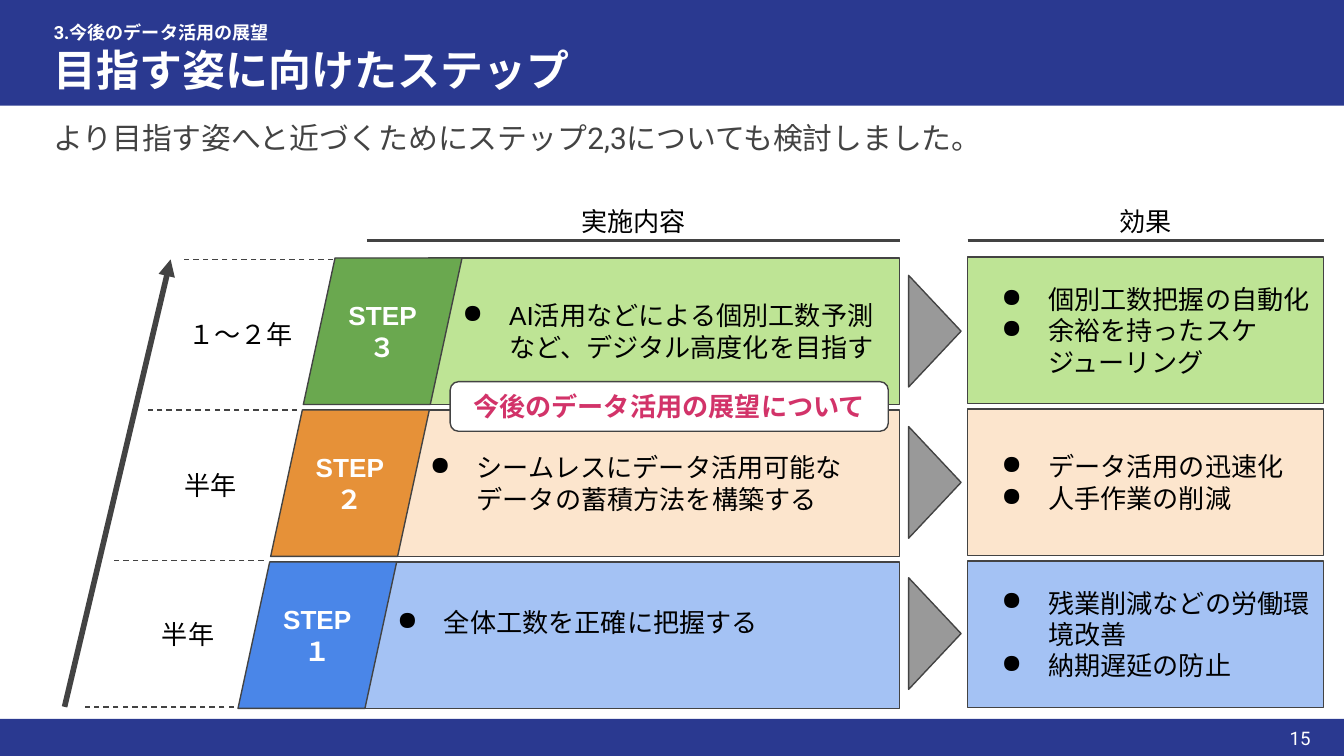
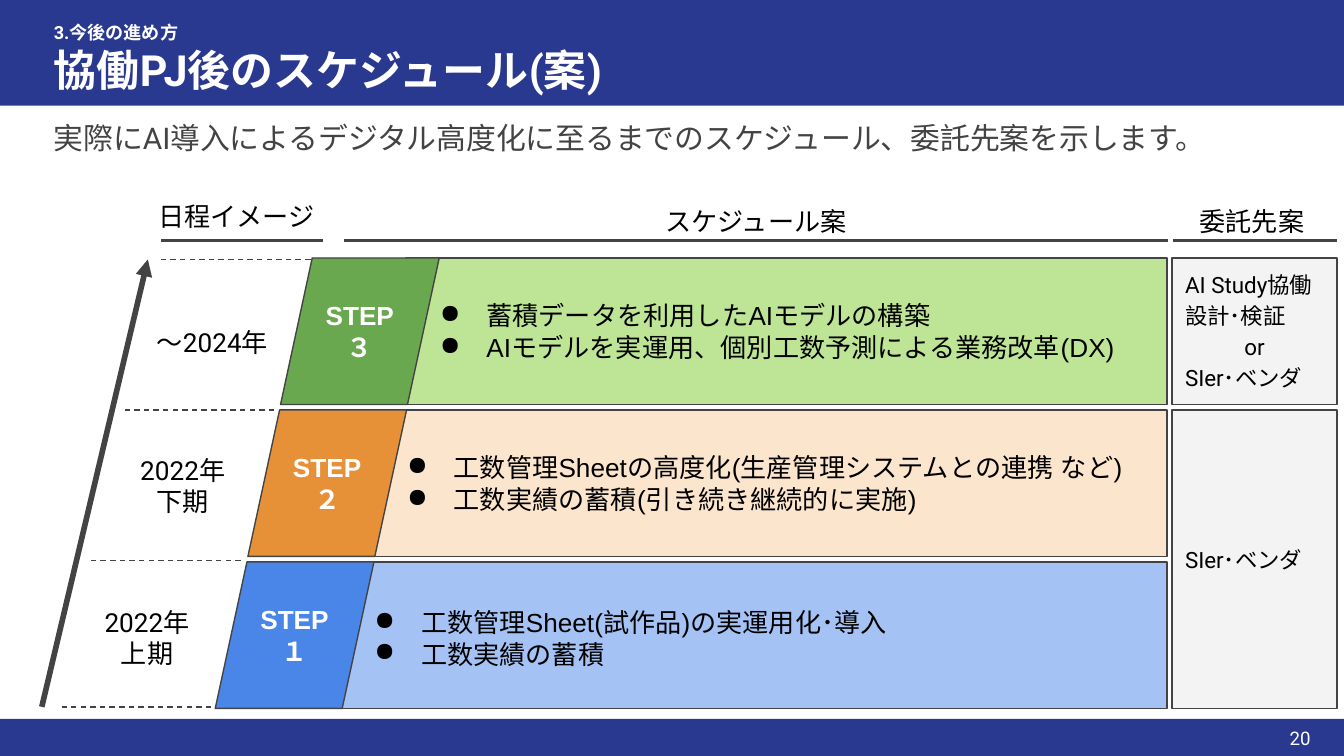
from lxml.etree import SubElement
from pptx import Presentation
from pptx.dml.color import RGBColor
from pptx.enum.dml import MSO_LINE
from pptx.enum.shapes import MSO_CONNECTOR, MSO_SHAPE
from pptx.enum.text import MSO_ANCHOR, MSO_AUTO_SIZE, PP_ALIGN
from pptx.oxml.ns import qn
from pptx.util import Pt

# Colours
NAVY = RGBColor(0x2A, 0x39, 0x90)
DARK = RGBColor(0x43, 0x43, 0x43)
GRAY = RGBColor(0x99, 0x99, 0x99)
PALE_GRAY = RGBColor(0xF3, 0xF3, 0xF3)
BLACK = RGBColor(0, 0, 0)
WHITE = RGBColor(0xFF, 0xFF, 0xFF)
PINK = RGBColor(0xD2, 0x33, 0x69)
GREEN = RGBColor(0x6A, 0xA8, 0x4F)
ORANGE = RGBColor(0xE6, 0x91, 0x38)
BLUE = RGBColor(0x4A, 0x86, 0xE8)
PALE_GREEN = RGBColor(0xBE, 0xE4, 0x95)
PALE_ORANGE = RGBColor(0xFC, 0xE5, 0xCD)
PALE_BLUE = RGBColor(0xA4, 0xC2, 0xF4)

# Steps from top to bottom: number, strong colour, pale colour
STEPS = [("３", GREEN, PALE_GREEN), ("２", ORANGE, PALE_ORANGE), ("１", BLUE, PALE_BLUE)]
ROW_TOP, ROW_PITCH, ROW_HEIGHT = 138.2, 81.4, 78.5
STEP_LEFT, STEP_SHIFT, STEP_WIDTH = 162.5, 17.5, 85
BAR_OFFSET = 67.2
DASHES = [(98.6, 139), (79.2, 219.6), (61.2, 300.2), (45.4, 378.7)]
DASH_LENGTH = 80
HEADER_LINE = 128.7
INSET = 7.2


def row_top(row):
    return ROW_TOP + row * ROW_PITCH


class Deck:
    """Holds the shared style and the current slide."""

    def __init__(self):
        self.presentation = Presentation()
        self.presentation.slide_width = Pt(720)
        self.presentation.slide_height = Pt(405)
        self.layout = self.presentation.slide_layouts[5]
        self.slide = None

    def start_slide(self, chapter, title, lead, number):
        first = self.slide is None
        self.slide = self.presentation.slides.add_slide(self.layout)
        if first:
            self.bands()
        heading = self.slide.shapes.title
        heading.left, heading.top = Pt(21.6), Pt(4.3)
        heading.width, heading.height = Pt(671), Pt(47.5)
        self.set_text(heading, [chapter, title], sizes=[9.7, 23], font="Roboto",
                      color=WHITE, bold=True)
        self.text([lead], 21.6, 56.7, 688.3, 33.8, size=16, color=DARK,
                  align=PP_ALIGN.LEFT)
        self.text([number], 666, 382.3, 43.2, 26.6, size=10, color=WHITE,
                  align=PP_ALIGN.RIGHT, anchor=MSO_ANCHOR.MIDDLE)

    def bands(self):
        """Place the top and bottom bands on the shared layout."""
        for top, height in ((0, 56.6), (385.1, 19.9)):
            band = self.shape(MSO_SHAPE.RECTANGLE, 0, top, 720, height, NAVY)
            band.line.fill.background()
            self.layout.shapes.element.append(band.element)

    def set_text(self, shape, lines, sizes=(14,), font="Arial", color=BLACK, bold=False,
                 align=PP_ALIGN.LEFT, anchor=MSO_ANCHOR.TOP, bullets=False,
                 spacings=(None,), top_inset=INSET):
        frame = shape.text_frame
        frame.word_wrap = True
        frame.auto_size = MSO_AUTO_SIZE.NONE
        frame.vertical_anchor = anchor
        frame.margin_left = frame.margin_right = frame.margin_bottom = Pt(INSET)
        frame.margin_top = Pt(top_inset)
        for index, line in enumerate(lines):
            paragraph = frame.add_paragraph() if index else frame.paragraphs[0]
            paragraph.text = line
            paragraph.alignment = align
            paragraph.space_before = Pt(0)
            paragraph.line_spacing = spacings[index % len(spacings)]
            properties = paragraph._p.get_or_add_pPr()
            if bullets:
                properties.set("marL", str(Pt(36)))
                properties.set("indent", str(Pt(-25)))
                bullet_color = SubElement(properties, qn("a:buClr"))
                SubElement(bullet_color, qn("a:srgbClr"), val=str(color))
                SubElement(properties, qn("a:buChar"), char="●")
            paragraph.font.size = Pt(sizes[index % len(sizes)])
            paragraph.font.bold = bold
            paragraph.font.color.rgb = color
            paragraph.font.name = font
            SubElement(properties.find(qn("a:defRPr")), qn("a:ea"), typeface=font)

    def text(self, lines, left, top, width, height, size=14, align=PP_ALIGN.CENTER,
             **style):
        box = self.slide.shapes.add_textbox(Pt(left), Pt(top), Pt(width), Pt(height))
        self.set_text(box, lines, sizes=[size], font="Roboto", align=align, **style)

    def shape(self, kind, left, top, width, height, fill):
        shape = self.slide.shapes.add_shape(kind, Pt(left), Pt(top), Pt(width), Pt(height))
        shape.shadow.inherit = False
        shape.fill.solid()
        shape.fill.fore_color.rgb = fill
        shape.line.color.rgb = DARK
        shape.line.width = Pt(0.75)
        return shape

    def box(self, lines, left, top, width, height, fill, kind=MSO_SHAPE.RECTANGLE,
            anchor=MSO_ANCHOR.MIDDLE, **style):
        shape = self.shape(kind, left, top, width, height, fill)
        self.set_text(shape, lines, anchor=anchor, **style)
        return shape

    def line(self, start, end, width=1.5, dashed=False, arrow=False):
        points = [Pt(value) for value in (*start, *end)]
        connector = self.slide.shapes.add_connector(MSO_CONNECTOR.STRAIGHT, *points)
        connector.line.color.rgb = DARK
        connector.line.width = Pt(width)
        if dashed:
            connector.line.dash_style = MSO_LINE.DASH
        properties = connector._element.spPr
        if arrow:
            SubElement(properties.find(qn("a:ln")), qn("a:tailEnd"), type="triangle")
        SubElement(properties, qn("a:effectLst"))

    def header(self, label, left, right, top=103, text_left=None, text_width=None):
        self.text([label], text_left or left, top, text_width or right - left, 31.7)
        self.line((left, HEADER_LINE), (right, HEADER_LINE))

    def staircase(self, shift, right, contents, periods):
        """Draw the three steps, their bars, periods and the time arrow."""
        for row, ((number, strong, pale), lines) in enumerate(zip(STEPS, contents)):
            left = STEP_LEFT - shift - row * STEP_SHIFT
            bar_left = left + BAR_OFFSET
            # The lowest bar starts its text one line below the top
            placing = {"anchor": MSO_ANCHOR.TOP, "top_inset": 24} if row == 2 else {}
            self.box(lines, bar_left, row_top(row), right - bar_left, ROW_HEIGHT, pale,
                     bullets=True, **placing)
            self.box(["STEP", number], left, row_top(row), STEP_WIDTH, ROW_HEIGHT, strong,
                     kind=MSO_SHAPE.FLOWCHART_DATA, color=WHITE, bold=True,
                     align=PP_ALIGN.CENTER)
        self.line((34.6 - shift, 378.7), (91.4 - shift, 139), width=3, arrow=True)
        for left, top in DASHES:
            self.line((left - shift + DASH_LENGTH, top), (left - shift, top),
                      width=0.75, dashed=True)
        for label, left, top, width, height in periods:
            self.text([label], left, top, width, height)


def build_steps(deck):
    deck.start_slide("3.今後のデータ活用の展望", "目指す姿に向けたステップ",
                     "より目指す姿へと近づくためにステップ2,3についても検討しました。", "15")
    deck.staircase(
        0, 481.8,
        [["AI活用などによる個別工数予測など、デジタル高度化を目指す"],
         ["シームレスにデータ活用可能なデータの蓄積方法を構築する"],
         ["全体工数を正確に把握する"]],
        [("１〜２年", 79.2, 163.4, 99.4, 31.7),
         ("半年", 91.4, 244.1, 43.2, 31.7),
         ("半年", 79.2, 324, 43.2, 31.7)])
    deck.header("実施内容", 196.6, 482.4)
    deck.header("効果", 518.4, 709.2)

    # Effects
    effects = [["個別工数把握の自動化", "余裕を持ったスケジューリング"],
               ["データ活用の迅速化", "人手作業の削減"],
               ["残業削減などの労働環境改善", "納期遅延の防止"]]
    for row, lines in enumerate(effects):
        arrow = deck.shape(MSO_SHAPE.FLOWCHART_EXTRACT, 470.9,
                           163.4 + row * 81, 59.8, 28.1, GRAY)
        arrow.rotation = 90
        deck.box(lines, 518.4, row_top(row) - 0.5, 190.8, ROW_HEIGHT, STEPS[row][2],
                 bullets=True)

    # Callout
    deck.box(["今後のデータ活用の展望について"], 241.2, 204.5, 234.7, 26.6, WHITE,
             kind=MSO_SHAPE.FLOWCHART_ALTERNATE_PROCESS, color=PINK, bold=True,
             align=PP_ALIGN.CENTER)


def build_schedule(deck):
    deck.start_slide("3.今後の進め方", "協働PJ後のスケジュール(案)",
                     "実際にAI導入によるデジタル高度化に至るまでのスケジュール、委託先案を示します。",
                     "20")
    deck.staircase(
        12.2, 625.2,
        [["蓄積データを利用したAIモデルの構築",
          "AIモデルを実運用、個別工数予測による業務改革(DX)"],
         ["工数管理Sheetの高度化(生産管理システムとの連携 など)",
          "工数実績の蓄積(引き続き継続的に実施)"],
         ["工数管理Sheet(試作品)の実運用化･導入", "工数実績の蓄積"]],
        [("～2024年", 64.1, 167.8, 99.4, 31.7),
         ("2022年下期", 62.6, 236.2, 70.6, 48.2),
         ("2022年上期", 44.6, 317.5, 68.4, 48.2)])
    deck.header("日程イメージ", 86.4, 172.8, top=100, text_left=77, text_width=99.4)
    deck.header("スケジュール案", 184.3, 625.7)
    deck.header("委託先案", 628.6, 716.4, text_left=625, text_width=91.4)

    # Contractors
    contractor = {"left": 627.8, "width": 88.6, "fill": PALE_GRAY, "font": "Roboto",
                  "sizes": [12]}
    deck.box(["SIer･ベンダ"], top=row_top(1), height=ROW_PITCH + ROW_HEIGHT, **contractor)
    partners = deck.box(["AI Study協働", "設計･検証", "or", "SIer･ベンダ"], top=row_top(0),
                        height=ROW_HEIGHT, spacings=[None, 1.15, 1.15, 1.15], **contractor)
    partners.text_frame.paragraphs[2].alignment = PP_ALIGN.CENTER


def main():
    deck = Deck()
    build_steps(deck)
    build_schedule(deck)
    deck.presentation.save("out.pptx")


if __name__ == "__main__":
    main()
